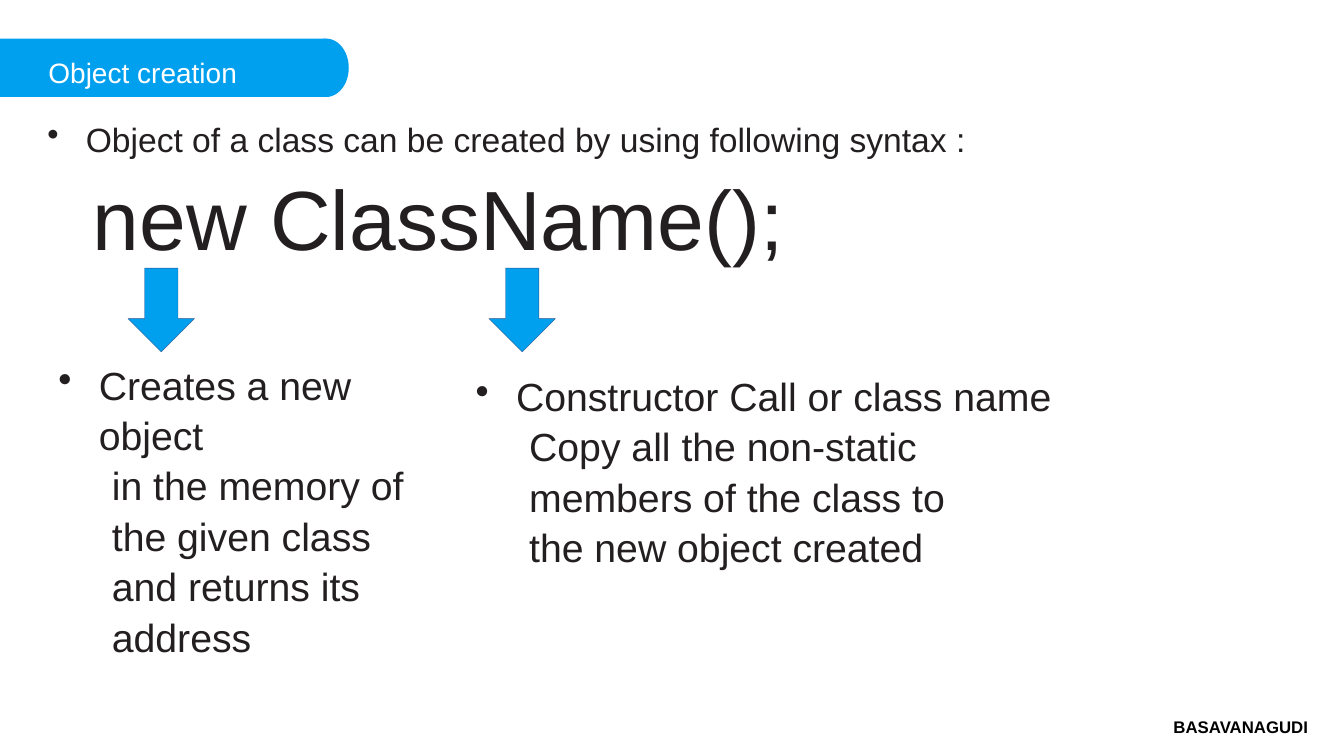
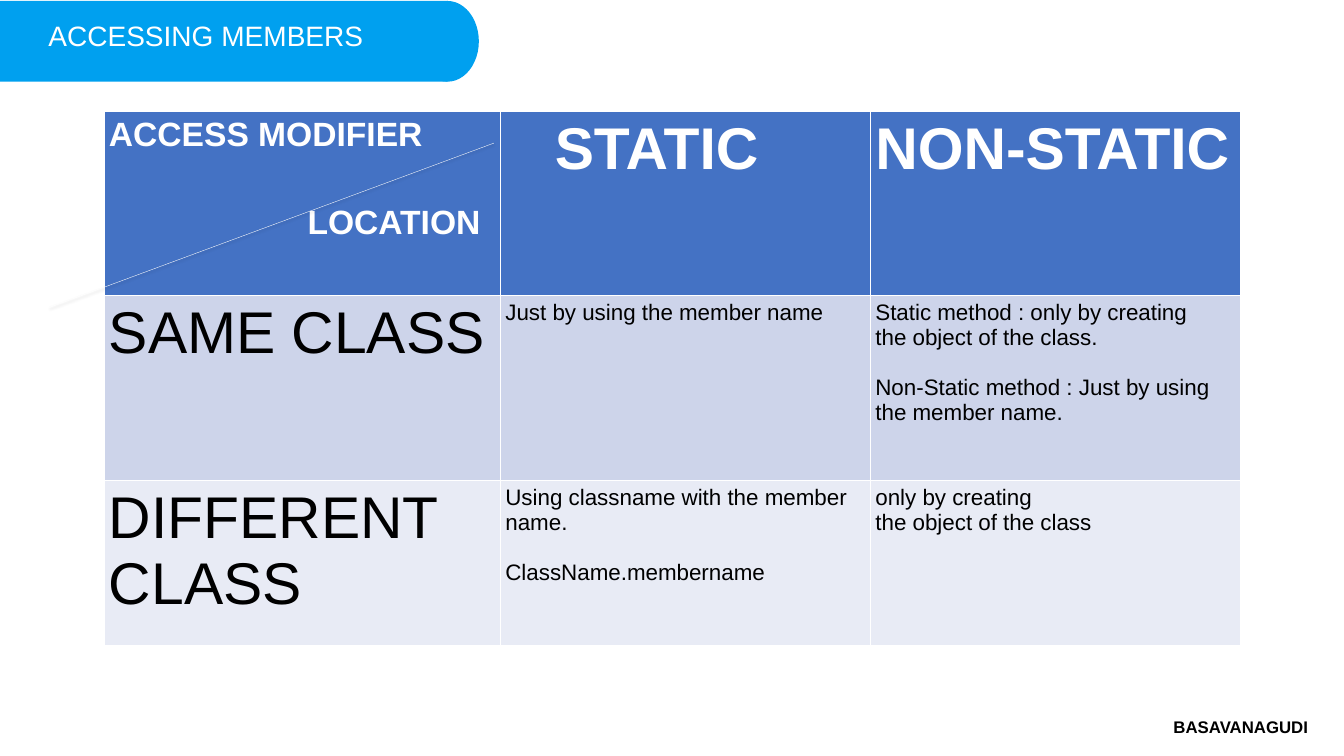
from dataclasses import dataclass

from lxml import etree
from pptx import Presentation
from pptx.dml.color import RGBColor
from pptx.enum.shapes import MSO_CONNECTOR, MSO_SHAPE
from pptx.enum.text import MSO_ANCHOR, PP_ALIGN
from pptx.oxml.ns import qn
from pptx.slide import Slide
from pptx.text.text import TextFrame
from pptx.util import Inches, Pt

RECTANGLE, OVAL, DOWN_ARROW = MSO_SHAPE.RECTANGLE, MSO_SHAPE.OVAL, MSO_SHAPE.DOWN_ARROW
STRAIGHT = MSO_CONNECTOR.STRAIGHT
TOP, MIDDLE = MSO_ANCHOR.TOP, MSO_ANCHOR.MIDDLE
LEFT, CENTER = PP_ALIGN.LEFT, PP_ALIGN.CENTER

SKY = RGBColor(0x00, 0xA0, 0xEF)
NAVY = RGBColor(0x32, 0x53, 0x8F)
INK = RGBColor(0x23, 0x1F, 0x20)
BLACK = RGBColor(0x00, 0x00, 0x00)
WHITE = RGBColor(0xFF, 0xFF, 0xFF)
HEADER_BLUE = RGBColor(0x44, 0x72, 0xC4)
ROW_FILLS = (HEADER_BLUE, RGBColor(0xCD, 0xD4, 0xEA), RGBColor(0xE8, 0xEB, 0xF5))

FONT = "Arial"
WIDTH, HEIGHT = Inches(13.33), Inches(7.5)
BODY_SPACING = 1.07
CAP_RATIO = 0.775  # width of a band's round end to its height


# Lengths are percentages of the slide's width and height
def across(share: float) -> int:
    return round(WIDTH * share / 100)


def down(share: float) -> int:
    return round(HEIGHT * share / 100)


@dataclass(frozen=True)
class Area:
    left: float
    top: float
    width: float
    height: float

    def lengths(self) -> tuple[int, int, int, int]:
        return across(self.left), down(self.top), across(self.width), down(self.height)


@dataclass(frozen=True)
class Para:
    text: str
    size: float
    color: RGBColor = INK
    bold: bool = False
    indent: float = 0  # inches
    bullet: bool = False
    before: float = 0  # points
    align: PP_ALIGN = LEFT
    spacing: float = BODY_SPACING


@dataclass(frozen=True)
class Band:
    title: str
    top: float
    right: float
    height: float
    title_top: float


@dataclass(frozen=True)
class Note:
    area: Area
    arrow_left: float
    lead: str
    rest: tuple[str, ...]


# Content
CREATION_BAND = Band("Object creation", 5.1, 25.95, 7.73, 7.07)
ACCESS_BAND = Band("ACCESSING MEMBERS", 0.13, 35.63, 10.67, 2.13)

SYNTAX = (
    Para("Object of a class can be created by using following syntax :", 24, indent=0.39, bullet=True),
    Para("new ClassName();", 60, indent=0.46),
)
NOTES = (
    Note(Area(4.05, 46.93, 28.73, 36.67), 9.53, "Creates a new object",
         ("in the memory of", "the given class", "and returns its", "address")),
    Note(Area(35.1, 48.4, 45.3, 26), 36.38, "Constructor Call or class name",
         ("Copy all the non-static", "members of the class to", "the new object created")),
)


def header(text: str, size: float = 42, indent: float = 0, before: float = 0) -> Para:
    return Para(text, size, WHITE, True, indent, before=before, spacing=1)


def row_label(text: str) -> Para:
    return Para(text, 42, BLACK, spacing=1)


def detail(text: str, before: float = 0) -> Para:
    return Para(text, 16, BLACK, before=before, spacing=1)


ACCESS_ROWS = (
    ((header("ACCESS MODIFIER", 24), header("LOCATION", 24, 1.97, 36)),
     (header("STATIC", indent=0.49),),
     (header("NON-STATIC"),)),
    ((row_label("SAME CLASS"),),
     (detail("Just by using the member name"),),
     (detail("Static method : only by creating"), detail("the object of the class."),
      detail("Non-Static method : Just by using the member name.", 18))),
    ((row_label("DIFFERENT CLASS"),),
     (detail("Using classname with the member name."), detail("ClassName.membername", 18)),
     (detail("only by creating"), detail("the object of the class"))),
)
COLUMN_SHARES = (29.5, 27.53, 27.53)
ROW_SHARES = (24.4, 24.4, 21.8)


# Text
def write(frame: TextFrame, paras: tuple[Para, ...]) -> None:
    for index, para in enumerate(paras):
        paragraph = frame.paragraphs[0] if index == 0 else frame.add_paragraph()
        paragraph.text = para.text
        properties = paragraph._p.get_or_add_pPr()
        properties.set("marL", str(Inches(para.indent)))
        properties.set("indent", str(Inches(0.01 - para.indent) if para.bullet else 0))
        if para.bullet:
            etree.SubElement(properties, qn("a:buChar")).set("char", "•")
        paragraph.alignment = para.align
        paragraph.line_spacing = para.spacing
        paragraph.space_before = Pt(para.before)
        font = paragraph.font
        font.name, font.size, font.bold = FONT, Pt(para.size), para.bold
        font.color.rgb = para.color


def add_text(page: Slide, area: Area, paras: tuple[Para, ...],
             inset: float = 0.03, anchor: MSO_ANCHOR = TOP) -> None:
    frame = page.shapes.add_textbox(*area.lengths()).text_frame
    frame.word_wrap = True
    frame.vertical_anchor = anchor
    frame.margin_left = frame.margin_right = Inches(inset)
    frame.margin_top = frame.margin_bottom = Inches(inset)
    write(frame, paras)


# Shapes
def add_block(page: Slide, preset: MSO_SHAPE, lengths: tuple[int, int, int, int],
              outline: RGBColor | None = None) -> None:
    block = page.shapes.add_shape(preset, *lengths)
    block.shadow.inherit = False
    block.fill.solid()
    block.fill.fore_color.rgb = SKY
    if outline is None:
        block.line.fill.background()
    else:
        block.line.color.rgb = outline
        block.line.width = Pt(0.25)


def add_frame(page: Slide, band: Band) -> None:
    """Title band with a round end, and the footer."""
    top, height, right = down(band.top), down(band.height), across(band.right)
    cap = round(height * CAP_RATIO)
    add_block(page, RECTANGLE, (0, top, right - cap // 2, height))
    add_block(page, OVAL, (right - cap, top, cap, height))
    add_text(page, Area(3.6, band.title_top, band.right - 5, 4.13),
             (Para(band.title, 20, WHITE),), inset=0)
    add_text(page, Area(84.9, 94, 14.85, 4),
             (Para("BASAVANAGUDI", 12, BLACK, True, align=CENTER),), anchor=MIDDLE)


def add_note(page: Slide, note: Note) -> None:
    add_block(page, DOWN_ARROW, Area(note.arrow_left, 35.47, 4.95, 11.07).lengths(), NAVY)
    lead = Para(note.lead, 28, indent=0.41, bullet=True)
    add_text(page, note.area, (lead, *(Para(text, 28, indent=0.54) for text in note.rest)))


def add_diagonal(page: Slide) -> None:
    line = page.shapes.add_connector(
        STRAIGHT, across(36.75), down(18.93), across(3.68), down(40.67))
    line.line.color.rgb = WHITE
    line.line.width = Pt(0.25)
    effects = etree.SubElement(line._element.spPr, qn("a:effectLst"))
    shadow = etree.SubElement(effects, qn("a:outerShdw"), blurRad=str(Pt(2)),
                              dist=str(Pt(1)), dir="5400000", rotWithShape="0")
    color = etree.SubElement(shadow, qn("a:srgbClr"), val=str(BLACK))
    etree.SubElement(color, qn("a:alpha"), val="40000")


# Table
def set_borders(cell_properties: etree._Element, top: float, bottom: float) -> None:
    sides = (("a:lnL", 0.25), ("a:lnR", 0.25), ("a:lnT", top), ("a:lnB", bottom))
    for index, (tag, width) in enumerate(sides):
        border = etree.Element(qn(tag), w=str(Pt(width)))
        fill = etree.SubElement(border, qn("a:solidFill"))
        etree.SubElement(fill, qn("a:srgbClr"), val=str(WHITE))
        cell_properties.insert(index, border)


def add_access_table(page: Slide) -> None:
    area = Area(7.73, 14.7, sum(COLUMN_SHARES), sum(ROW_SHARES))
    table = page.shapes.add_table(len(ROW_SHARES), len(COLUMN_SHARES), *area.lengths()).table
    table.first_row = table.horz_banding = False
    for column, share in zip(table.columns, COLUMN_SHARES):
        column.width = across(share)
    for row_index, (row, share) in enumerate(zip(table.rows, ROW_SHARES)):
        row.height = down(share)
        for cell, paras in zip(row.cells, ACCESS_ROWS[row_index]):
            cell.margin_left = cell.margin_right = Inches(0.05)
            cell.margin_top = cell.margin_bottom = Inches(0.05)
            cell.fill.solid()
            cell.fill.fore_color.rgb = ROW_FILLS[row_index]
            set_borders(cell._tc.get_or_add_tcPr(),
                        top=1 if row_index == 1 else 0.25,
                        bottom=1 if row_index == 0 else 0.25)
            write(cell.text_frame, paras)


def main() -> None:
    deck = Presentation()
    deck.slide_width, deck.slide_height = WIDTH, HEIGHT
    blank = deck.slide_layouts[6]

    # Object creation
    page = deck.slides.add_slide(blank)
    add_frame(page, CREATION_BAND)
    add_text(page, Area(3.23, 14.93, 93.6, 18.53), SYNTAX)
    for note in NOTES:
        add_note(page, note)

    # Accessing members
    page = deck.slides.add_slide(blank)
    add_frame(page, ACCESS_BAND)
    add_access_table(page)
    add_diagonal(page)

    deck.save("out.pptx")


if __name__ == "__main__":
    main()
